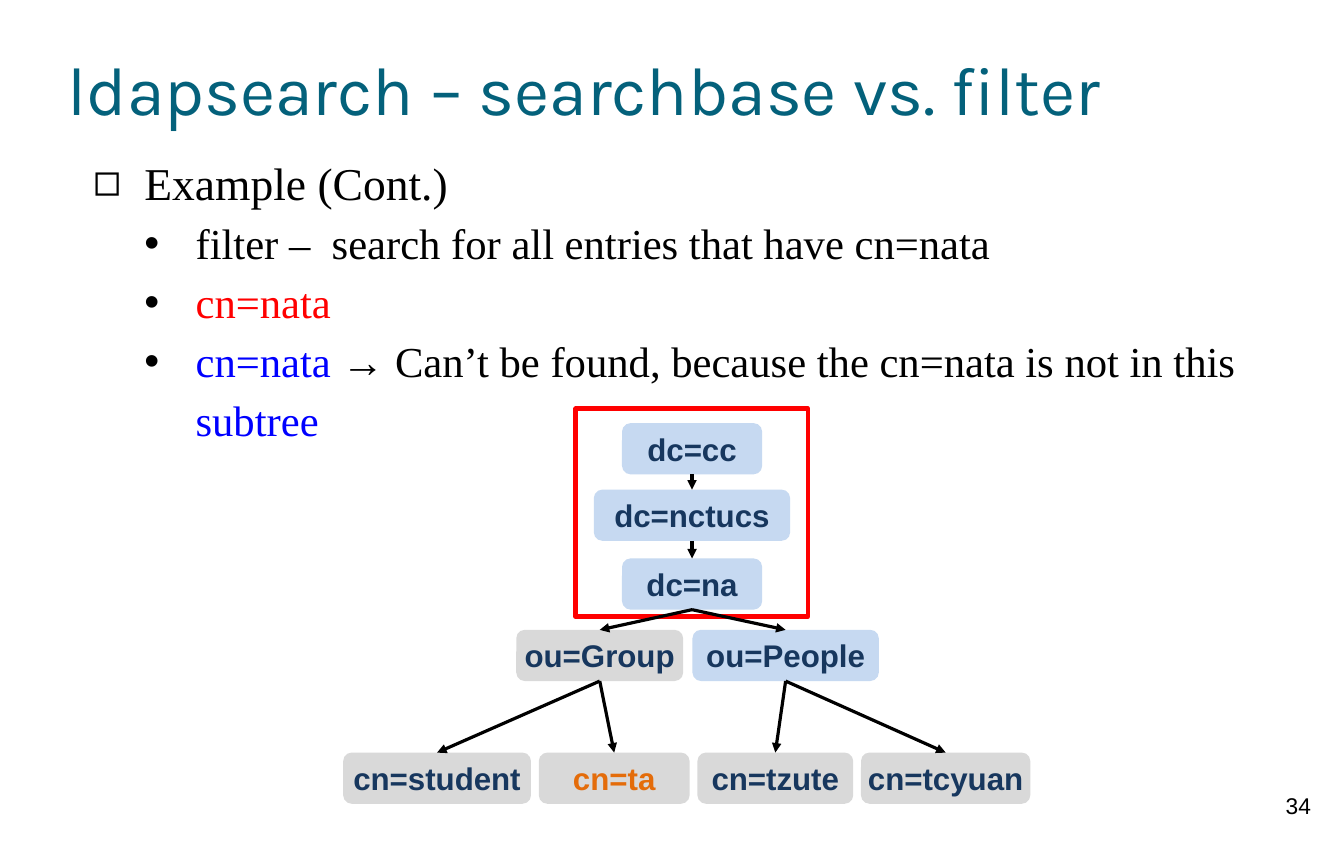
"""Build the slide that compares an LDAP search base with a filter."""
from lxml import etree
from pptx import Presentation
from pptx.dml.color import RGBColor
from pptx.enum.shapes import MSO_CONNECTOR, MSO_SHAPE
from pptx.enum.text import MSO_ANCHOR, PP_ALIGN
from pptx.oxml.ns import qn
from pptx.util import Pt

STRAIGHT = MSO_CONNECTOR.STRAIGHT
RECTANGLE, ROUNDED = MSO_SHAPE.RECTANGLE, MSO_SHAPE.ROUNDED_RECTANGLE
TOP, MIDDLE = MSO_ANCHOR.TOP, MSO_ANCHOR.MIDDLE
LEFT, CENTER = PP_ALIGN.LEFT, PP_ALIGN.CENTER
BOTTOM_SITE, TOP_SITE = 2, 0

COLORS = {
    "title": "04617B", "text": "000000", "red": "FF0000", "blue": "0000FF",
    "navy": "17375E", "orange": "E46C0A", "sky": "C6D9F1", "gray": "D9D9D9",
}
FORMATS = {
    "title": {"name": "Karla", "size": Pt(48)},
    "topic": {"name": "Times New Roman", "size": Pt(32)},
    "point": {"name": "Times New Roman", "size": Pt(30)},
    "entry": {"name": "Arial", "size": Pt(22), "bold": True},
    "number": {"name": "Arial", "size": Pt(16)},
}
BULLETS = {"topic": ("◻", 54), "point": ("•", 90)}
HANGING = 36
ENTRY_HEIGHT = 36


class SlideBuilder:
    def __init__(self, slide):
        self.shapes = slide.shapes

    def color(self, name):
        return RGBColor.from_string(COLORS[name])

    def add_runs(self, paragraph, runs, style):
        for text, color in runs:
            run = paragraph.add_run()
            run.text = text
            for key, value in FORMATS[style].items():
                setattr(run.font, key, value)
            run.font.color.rgb = self.color(color)

    def frame(self, shape, inset, anchor, wrap=True):
        frame = shape.text_frame
        settings = {"word_wrap": wrap, "vertical_anchor": anchor}
        settings.update({f"margin_{side}": Pt(inset) for side in ("left", "top", "right", "bottom")})
        for key, value in settings.items():
            setattr(frame, key, value)
        return frame

    def text(self, box, text, style, color, inset=0, anchor=TOP, align=LEFT):
        frame = self.frame(self.shapes.add_textbox(*map(Pt, box)), inset, anchor)
        paragraph = frame.paragraphs[0]
        paragraph.alignment = align
        self.add_runs(paragraph, [(text, color)], style)

    def bullet(self, paragraph, style):
        mark, indent = BULLETS[style]
        properties = paragraph._p.get_or_add_pPr()
        properties.set("marL", str(Pt(indent)))
        properties.set("indent", str(-Pt(HANGING)))
        tint = etree.SubElement(properties, qn("a:buClr"))
        etree.SubElement(tint, qn("a:srgbClr"), val=COLORS["text"])
        etree.SubElement(properties, qn("a:buFont"), typeface="Arial")
        etree.SubElement(properties, qn("a:buChar"), char=mark)

    def outline(self, box, items):
        frame = self.frame(self.shapes.add_textbox(*map(Pt, box)), 0, TOP)
        for index, (style, runs) in enumerate(items):
            paragraph = frame.add_paragraph() if index else frame.paragraphs[0]
            self.bullet(paragraph, style)
            paragraph.line_spacing = 1.15
            self.add_runs(paragraph, runs, style)

    def highlight(self, box, color):
        marker = self.shapes.add_shape(RECTANGLE, *map(Pt, box))
        marker.shadow.inherit = False
        marker.fill.background()
        marker.line.color.rgb = self.color(color)
        marker.line.width = Pt(3)

    def entry(self, left, top, width, label, fill, color):
        node = self.shapes.add_shape(ROUNDED, Pt(left), Pt(top), Pt(width), Pt(ENTRY_HEIGHT))
        node.shadow.inherit = False
        node.fill.solid()
        node.fill.fore_color.rgb = self.color(fill)
        node.line.fill.background()
        paragraph = self.frame(node, 3.6, MIDDLE, wrap=False).paragraphs[0]
        paragraph.alignment = CENTER
        self.add_runs(paragraph, [(label, color)], "entry")
        return node

    def arrow(self, parent, child):
        link = self.shapes.add_connector(STRAIGHT, 0, 0, 0, 0)
        link.begin_connect(parent, BOTTOM_SITE)
        link.end_connect(child, TOP_SITE)
        link.line.color.rgb = self.color("text")
        link.line.width = Pt(2.25)
        etree.SubElement(link.line._get_or_add_ln(), qn("a:tailEnd"), type="triangle")
        etree.SubElement(link._element.spPr, qn("a:effectLst"))


def main():
    deck = Presentation()
    deck.slide_width, deck.slide_height = Pt(944.64), Pt(595.44)
    page = SlideBuilder(deck.slides.add_slide(deck.slide_layouts[6]))

    page.text((884, 549.5, 57, 45), "34", "number", "text", inset=7.2, align=CENTER)
    page.text((47.5, 12.2, 850, 99.4), "ldapsearch – searchbase vs. filter",
              "title", "title", anchor=MIDDLE)
    page.outline((47.5, 103, 852.5, 211.7), [
        ("topic", [("Example (Cont.)", "text")]),
        ("point", [("filter –  search for all entries that have cn=nata", "text")]),
        ("point", [("cn=nata", "red")]),
        ("point", [("cn=nata ", "blue"),
                   ("→ Can’t be found, because the cn=nata is not in this ", "text"),
                   ("subtree", "blue")]),
    ])
    page.highlight((404.6, 287.3, 163.4, 146.2), "red")

    tree_rows = [
        (437.2, 297.5, 0, [("dc=cc", 98.5, "sky", "navy")]),
        (417.4, 344.2, 0, [("dc=nctucs", 138, "sky", "navy")]),
        (437.2, 392.6, 0, [("dc=na", 98.5, "sky", "navy")]),
        (362.9, 442.8, 6.5, [("ou=Group", 117.3, "gray", "navy"),
                             ("ou=People", 131, "sky", "navy")]),
        (241.2, 529.1, 5.5, [("cn=student", 132, "gray", "navy"),
                             ("cn=ta", 106, "gray", "orange"),
                             ("cn=tzute", 109.5, "gray", "navy"),
                             ("cn=tcyuan", 119, "gray", "navy")]),
    ]
    entries = {}
    for left, top, gap, row in tree_rows:
        for label, width, fill, color in row:
            entries[label] = page.entry(left, top, width, label, fill, color)
            left += width + gap

    children = {
        "dc=cc": ["dc=nctucs"],
        "dc=nctucs": ["dc=na"],
        "dc=na": ["ou=Group", "ou=People"],
        "ou=Group": ["cn=student", "cn=ta"],
        "ou=People": ["cn=tzute", "cn=tcyuan"],
    }
    for parent, branch in children.items():
        for child in branch:
            page.arrow(entries[parent], entries[child])

    deck.save("out.pptx")


if __name__ == "__main__":
    main()
